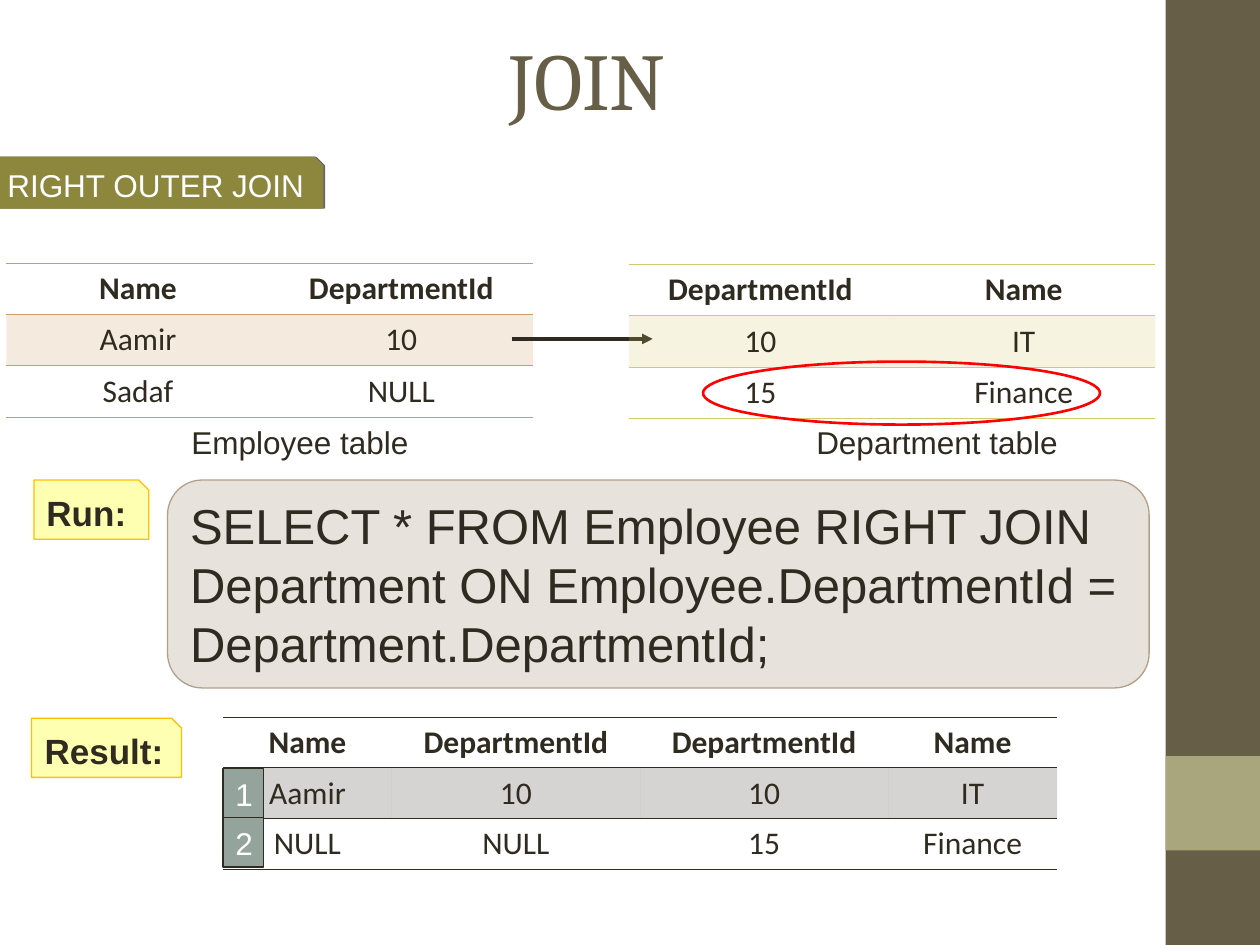
from dataclasses import dataclass
from lxml.etree import SubElement
from pptx import Presentation
from pptx.dml.color import RGBColor
from pptx.enum.shapes import MSO_CONNECTOR, MSO_SHAPE
from pptx.enum.text import MSO_ANCHOR, PP_ALIGN
from pptx.oxml import parse_xml
from pptx.oxml.ns import nsdecls, qn
from pptx.util import Inches, Pt


@dataclass(frozen=True)
class Theme:
    # Colours
    ink: str = "2F2B20"
    white: str = "FFFFFF"
    brown: str = "675E47"
    sage: str = "A9A57C"
    olive: str = "8D873E"
    taupe: str = "B1A089"
    tan: str = "C89F5D"
    lime: str = "D2CB6C"
    yellow: str = "FFFF00"
    gold: str = "FFC000"
    slate: str = "95A39D"
    red: str = "FF0000"
    # Fonts and type sizes
    head: str = "Cambria"
    body: str = "Arial"
    grid: str = "Calibri"
    title: int = 46
    code: int = 28
    label: int = 20
    text: int = 18


PLAIN = "{2D5ABB26-0587-4C30-8999-92F81FD0307C}"  # table style without grid


def rgb(color):
    return RGBColor.from_string(color)


def fade(node, share):
    """Make the colours below node see-through; share is the opacity in %."""
    for color in node.iter(qn("a:srgbClr")):
        SubElement(color, qn("a:alpha")).set("val", str(share * 1000))


class Page:
    def __init__(self, slide, theme):
        self.items, self.theme = slide.shapes, theme

    def label(self, frame, text, size, color, font, bold=False, align=PP_ALIGN.LEFT):
        frame.word_wrap = True
        para = frame.paragraphs[0]
        para.text, para.alignment = text, align
        para.font.name, para.font.size, para.font.bold = font, Pt(size), bold
        para.font.color.rgb = rgb(color)

    def text(self, box, text, size, color=None, font=None,
             align=PP_ALIGN.LEFT, anchor=MSO_ANCHOR.TOP):
        frame = self.items.add_textbox(*map(Inches, box)).text_frame
        frame.vertical_anchor = anchor
        self.label(frame, text, size, color or self.theme.ink,
                   font or self.theme.body, align=align)

    def shape(self, kind, box, fill=None, line=None, width=0.75, alpha=None):
        shape = self.items.add_shape(kind, *map(Inches, box))
        shape.shadow.inherit = False
        if fill:
            shape.fill.solid()
            shape.fill.fore_color.rgb = rgb(fill)
        else:
            shape.fill.background()
        if alpha:
            fade(shape._element.spPr, alpha)
        if line:
            shape.line.color.rgb = rgb(line)
            shape.line.width = Pt(width)
        else:
            shape.line.fill.background()
        return shape

    def note(self, kind, box, text, size, fill, line, color=None, bold=False,
             align=PP_ALIGN.LEFT, anchor=MSO_ANCHOR.MIDDLE, **style):
        shape = self.shape(kind, box, fill, line, **style)
        shape.text_frame.vertical_anchor = anchor
        self.label(shape.text_frame, text, size, color or self.theme.ink,
                   self.theme.body, bold, align)
        return shape

    def shade(self, shape):
        effect = shape._element.spPr.find(qn("a:effectLst"))
        effect.append(parse_xml(
            f'<a:outerShdw {nsdecls("a")} dist="12700" dir="0">'
            '<a:srgbClr val="000000"><a:alpha val="60000"/></a:srgbClr></a:outerShdw>'))

    def rule(self, cell, side, color):
        cell._tc.get_or_add_tcPr().insert(0, parse_xml(
            f'<a:{side} {nsdecls("a")} w="5715"><a:solidFill>'
            f'<a:srgbClr val="{color}"/></a:solidFill></a:{side}>'))

    def table(self, box, cols, rows, color):
        table = self.items.add_table(len(rows), len(cols), *map(Inches, box)).table
        table._tbl.tblPr.find(qn("a:tableStyleId")).text = PLAIN
        for col, width in zip(table.columns, cols):
            col.width = Inches(width)
        for r, row in enumerate(rows):
            table.rows[r].height = Inches(box[3]) // len(rows)
            for c, text in enumerate(row):
                cell = table.cell(r, c)
                self.label(cell.text_frame, text, self.theme.text, self.theme.ink,
                           self.theme.grid, r == 0, PP_ALIGN.CENTER)
                if r == 1:
                    cell.fill.solid()
                    cell.fill.fore_color.rgb = rgb(color)
                    fade(cell._tc.tcPr, 20)
                else:
                    cell.fill.background()
                # Rules above and below the header, and at the foot
                if r == len(rows) - 1:
                    self.rule(cell, "lnB", color)
                if r < 2:
                    self.rule(cell, "lnT", color)

    def arrow(self, start, end, color, width):
        line = self.items.add_connector(
            MSO_CONNECTOR.STRAIGHT, *map(Inches, start + end))
        line.line.color.rgb = rgb(color)
        line.line.width = Pt(width)
        SubElement(line.line._get_or_add_ln(), qn("a:tailEnd")).set("type", "triangle")
        SubElement(line._element.spPr, qn("a:effectLst"))


def main():
    deck = Presentation()
    deck.slide_width, deck.slide_height = Inches(10), Inches(7.5)
    t = Theme()
    page = Page(deck.slides.add_slide(deck.slide_layouts[6]), t)
    snip = MSO_SHAPE.SNIP_1_RECTANGLE

    # Side band and title
    page.shape(MSO_SHAPE.RECTANGLE, (9.25, 0, 0.75, 7.5), t.brown)
    page.shape(MSO_SHAPE.RECTANGLE, (9.25, 6, 0.75, 0.75), t.sage)
    page.text((0.5, 0, 8.33, 1.25), "JOIN", t.title, t.brown, t.head,
              PP_ALIGN.CENTER, MSO_ANCHOR.MIDDLE)

    # Query
    page.note(MSO_SHAPE.ROUNDED_RECTANGLE, (1.33, 3.81, 7.79, 1.65),
              "SELECT * FROM Employee RIGHT JOIN Department ON "
              "Employee.DepartmentId = Department.DepartmentId;",
              t.code, t.taupe, t.taupe, alpha=30)

    # Employee table and captions
    pair = (2.09, 2.09)
    page.table((0.05, 2.09, 4.17, 1.22), pair,
               [("Name", "DepartmentId"), ("Aamir", "10"), ("Sadaf", "NULL")], t.tan)
    for left, text in ((1.42, "Employee table"), (6.38, "Department table")):
        page.text((left, 3.31, 2.21, 0.4), text, t.text)

    # Result table with row numbers
    page.table((1.77, 5.69, 6.61, 1.21), (1.34, 1.97, 1.97, 1.34),
               [("Name", "DepartmentId", "DepartmentId", "Name"),
                ("Aamir", "10", "10", "IT"),
                ("NULL", "NULL", "15", "Finance")], t.ink)
    for row in range(2):
        page.note(MSO_SHAPE.RECTANGLE, (1.77, 6.1 + 0.39 * row, 0.32, 0.39),
                  str(row + 1), t.text, t.slate, t.ink, t.white,
                  anchor=MSO_ANCHOR.TOP)

    # Step labels
    for box, text, align in (
            ((0.27, 3.81, 0.91, 0.47), "Run:", PP_ALIGN.LEFT),
            ((0.25, 5.7, 1.19, 0.47), "Result:", PP_ALIGN.CENTER)):
        page.note(snip, box, text, t.label, t.yellow, t.gold,
                  bold=True, align=align, alpha=30)

    # Match arrow, with the department table over its tip
    page.arrow((4.06, 2.69), (5.18, 2.69), t.ink, 2)
    page.table((4.99, 2.1, 4.17, 1.22), pair,
               [("DepartmentId", "Name"), ("10", "IT"), ("15", "Finance")], t.lime)

    # Join type banner and ring around the unmatched row
    page.shade(page.note(snip, (-0.04, 1.25, 2.6, 0.4), "RIGHT OUTER JOIN",
                         t.text, t.olive, t.olive, t.white, width=1))
    page.shape(MSO_SHAPE.OVAL, (5.58, 2.87, 3.15, 0.5), line=t.red, width=1.5)

    deck.save("out.pptx")


if __name__ == "__main__":
    main()
